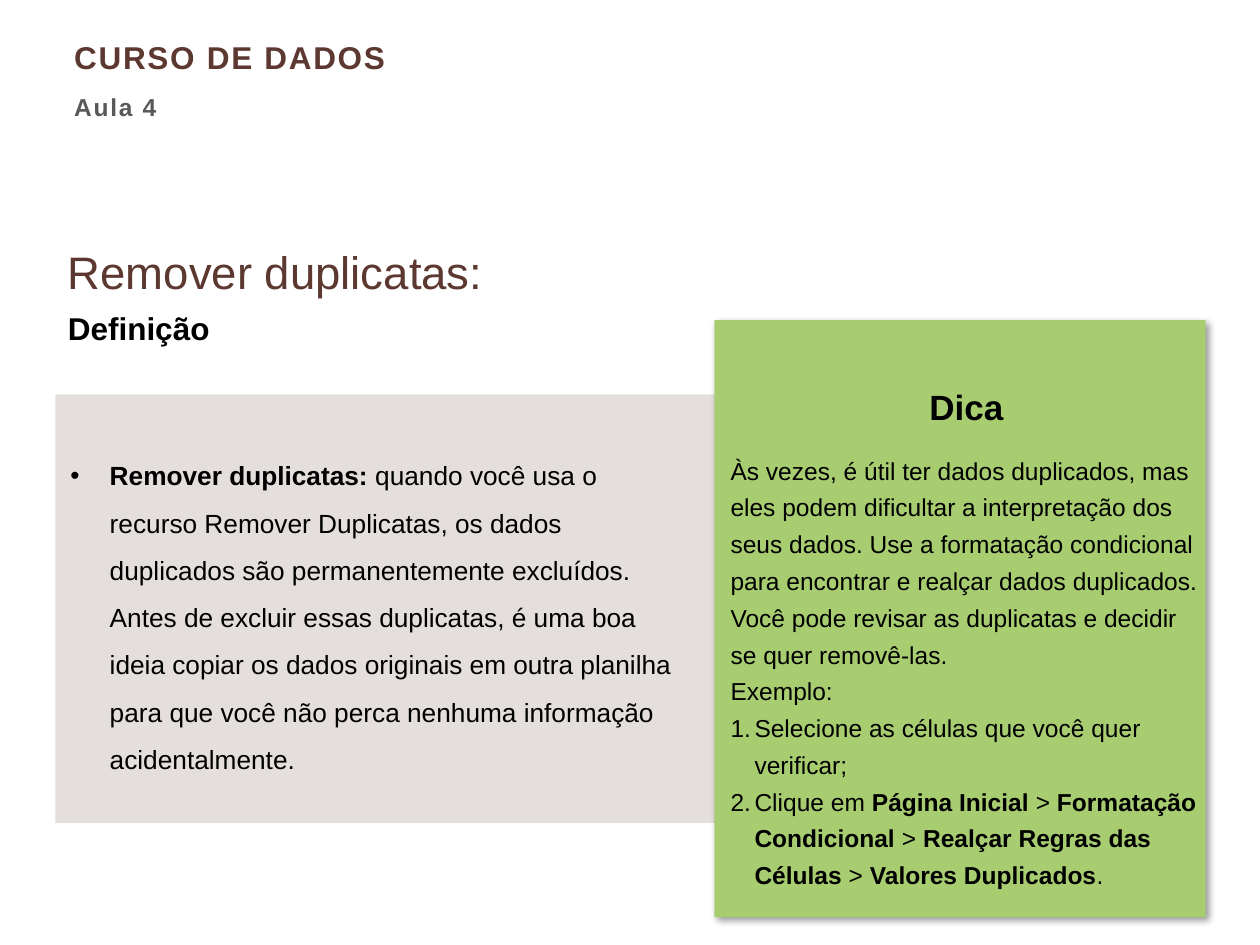
from lxml import etree
from pptx import Presentation
from pptx.dml.color import RGBColor
from pptx.enum import shapes, text
from pptx.oxml import ns
from pptx.util import Pt

COLORS = {
    "brown": "5C3831",
    "gray": "595959",
    "black": "000000",
    "green": "A8CD71",
}
FONT = "Arial"


def set_attributes(target, values):
    for name, value in values.items():
        setattr(target, name, value)


def add_child(parent, tag, **attributes):
    return etree.SubElement(parent, ns.qn(tag), attributes)


def add_runs(paragraph, parts, size, color="black", spacing=None):
    """Add runs from (wording, bold) pairs."""
    for wording, bold in parts:
        run = paragraph.add_run()
        run.text = wording
        set_attributes(run.font, {"name": FONT, "size": Pt(size), "bold": bold})
        run.font.color.rgb = RGBColor.from_string(COLORS[color])
        if spacing:
            run.font._element.set("spc", str(spacing * 100))


def add_bullet(paragraph, indent, tag, **attributes):
    properties = paragraph._p.get_or_add_pPr()
    properties.set("marL", str(Pt(indent)))
    properties.set("indent", str(-Pt(indent)))
    if tag == "a:buChar":
        add_child(properties, "a:buFont", typeface=FONT)
    add_child(properties, tag, **attributes)


def add_text_box(slide, box, anchor=text.MSO_ANCHOR.TOP):
    shape = slide.shapes.add_textbox(*map(Pt, box))
    set_attributes(shape.text_frame, {"word_wrap": True, "vertical_anchor": anchor})
    return shape.text_frame


def add_rectangle(slide, box, color):
    shape = slide.shapes.add_shape(shapes.MSO_SHAPE.RECTANGLE, *map(Pt, box))
    shape.shadow.inherit = False
    shape.fill.solid()
    shape.fill.fore_color.rgb = RGBColor.from_string(COLORS[color])
    shape.line.fill.background()
    return shape


def add_headings(slide, left, top):
    middle, upper = text.MSO_ANCHOR.MIDDLE, text.MSO_ANCHOR.TOP
    headings = [
        ("CURSO DE DADOS", (3.6, 0, 648, 44.6), middle, 18, "brown", True, 1),
        ("Aula 4", (3.6, 34.6, 585.4, 32.4), middle, 14, "gray", True, 1),
        ("Remover duplicatas:", (0, 128.2, 648, 33.8), middle, 26, "brown", False, None),
        ("Definição", (0, 162.7, 558, 62), upper, 18, "black", True, None),
    ]
    for wording, (dx, dy, width, height), anchor, size, color, bold, spacing in headings:
        frame = add_text_box(slide, (left + dx, top + dy, width, height), anchor)
        add_runs(frame.paragraphs[0], [(wording, bold)], size, color, spacing)


def add_definition(slide, box):
    shape = add_rectangle(slide, box, "brown")
    color = shape.fill._xPr.find(".//" + ns.qn("a:srgbClr"))
    add_child(color, "a:alpha", val="16000")
    frame = shape.text_frame
    set_attributes(frame, {
        "word_wrap": True,
        "vertical_anchor": text.MSO_ANCHOR.TOP,
        "margin_left": Pt(8.5),
        "margin_top": Pt(28.35),
        "margin_right": Pt(283.5),
        "margin_bottom": Pt(28.35),
    })
    paragraph = frame.paragraphs[0]
    add_bullet(paragraph, 22.5, "a:buChar", char="•")
    set_attributes(paragraph, {"alignment": text.PP_ALIGN.LEFT, "line_spacing": 1.5})
    add_runs(paragraph, [
        ("Remover duplicatas:", True),
        (" quando você usa o recurso Remover Duplicatas, os dados duplicados são "
         "permanentemente excluídos. Antes de excluir essas duplicatas, é uma boa "
         "ideia copiar os dados originais em outra planilha para que você não perca "
         "nenhuma informação acidentalmente.", False),
    ], 15)


def add_tip(slide, box):
    left, top, width, height = box
    card = add_rectangle(slide, box, "green")
    effects = card._element.spPr.find(ns.qn("a:effectLst"))
    shadow = add_child(effects, "a:outerShdw", blurRad=str(Pt(4)), dist=str(Pt(3)),
                       dir="2700000", algn="tl", rotWithShape="0")
    color = add_child(shadow, "a:srgbClr", val=COLORS["black"])
    add_child(color, "a:alpha", val="40000")

    frame = add_text_box(slide, (left + 2.2, top + 33.8, width + 2.9, height - 43.2))
    heading = frame.paragraphs[0]
    heading.alignment = text.PP_ALIGN.CENTER
    add_runs(heading, [("Dica", True)], 20)

    advice = [("Às vezes, é útil ter dados duplicados, mas eles podem dificultar a "
               "interpretação dos seus dados. Use a formatação condicional para "
               "encontrar e realçar dados duplicados. Você pode revisar as duplicatas "
               "e decidir se quer removê-las.", False)]
    steps = [
        [("Selecione as células que você quer verificar;", False)],
        [("Clique em ", False), ("Página Inicial", True), (" > ", False),
         ("Formatação Condicional ", True), ("> ", False),
         ("Realçar Regras das Células", True), (" > ", False),
         ("Valores Duplicados", True), (".", False)],
    ]
    for parts in [advice, [("Exemplo:", False)], *steps]:
        paragraph = frame.add_paragraph()
        if parts in steps:
            add_bullet(paragraph, 13.7, "a:buAutoNum", type="arabicPeriod")
        paragraph.line_spacing = Pt(21)
        if parts is advice:
            paragraph.space_before = Pt(12)
        add_runs(paragraph, parts, 14)


def main():
    presentation = Presentation()
    set_attributes(presentation, {"slide_width": Pt(720), "slide_height": Pt(540)})
    slide = presentation.slides.add_slide(presentation.slide_layouts[6])
    add_headings(slide, 31.7, 10.1)
    add_definition(slide, (31.7, 225.4, 646.6, 244.8))
    add_tip(slide, (408.2, 182.9, 280.8, 341.3))
    presentation.save("out.pptx")


if __name__ == "__main__":
    main()
